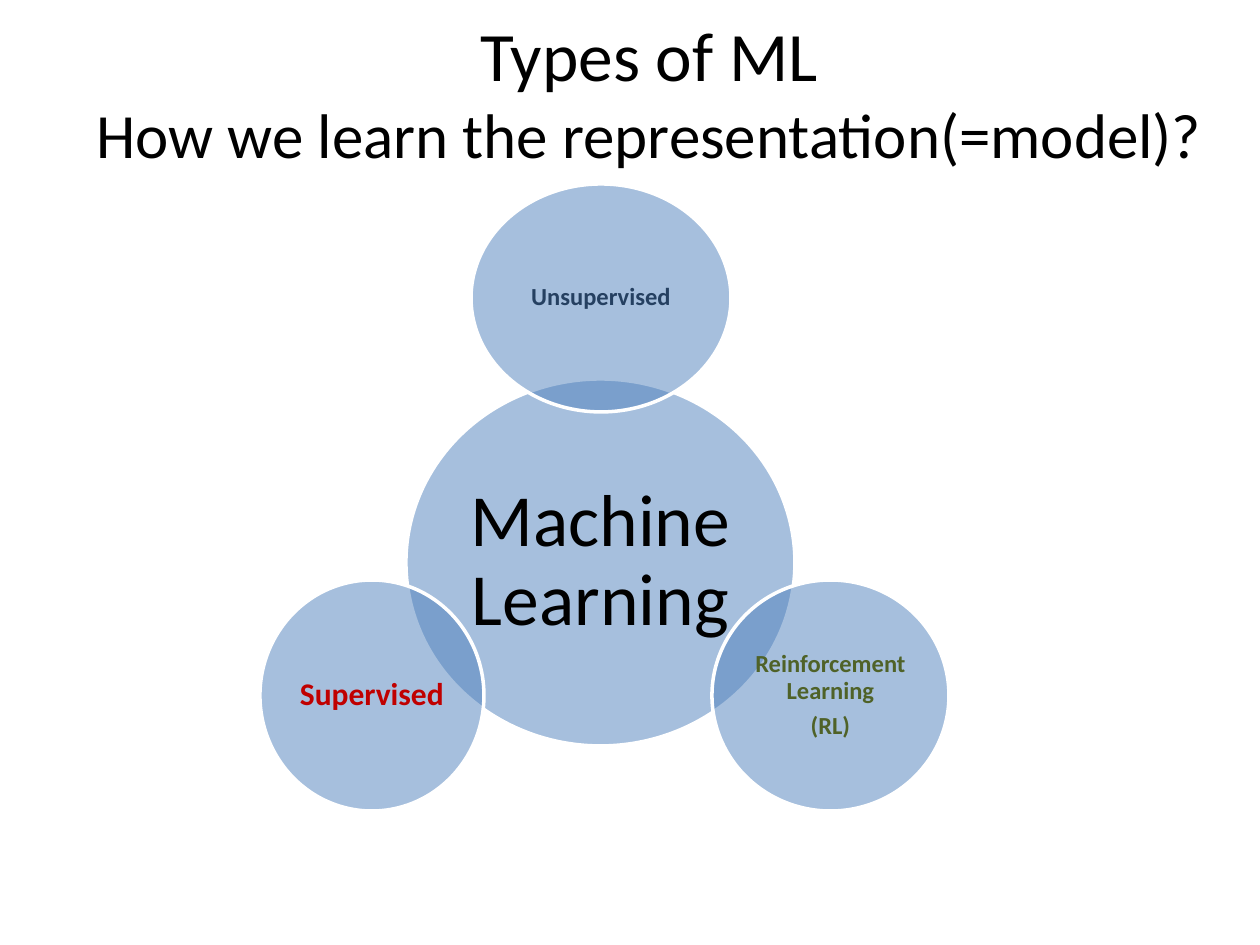
from lxml import etree
from pptx import Presentation
from pptx import util as u
from pptx.dml.color import RGBColor
from pptx.enum import shapes, text
from pptx.oxml.ns import qn

PX = 914400 / 126
FONT = "Calibri"
BLACK = RGBColor(0x00, 0x00, 0x00)
WHITE = RGBColor(0xFF, 0xFF, 0xFF)
BLUE = RGBColor(0x4F, 0x81, 0xBD)
NAVY = RGBColor(0x25, 0x40, 0x61)
GREEN = RGBColor(0x4F, 0x62, 0x28)
RED = RGBColor(0xC0, 0x00, 0x00)


def px(*lengths):
    return [u.Emu(round(length * PX)) for length in lengths]


def add_run(paragraph, words, size, color, bold=False):
    run = paragraph.add_run()
    run.text = words
    run.font.name = FONT
    run.font.size = u.Pt(size)
    run.font.bold = bold
    run.font.color.rgb = color


def set_half_transparent(shape):
    color = shape.fill._xPr.find(qn("a:solidFill"))[0]
    etree.SubElement(color, qn("a:alpha"), val="50000")


def add_title(slide, heading, question):
    frame = slide.shapes.add_textbox(*px(38, 63, 1222, 58)).text_frame
    frame.word_wrap = True
    frame.vertical_anchor = text.MSO_ANCHOR.MIDDLE
    title = frame.paragraphs[0]
    title.alignment = text.PP_ALIGN.CENTER
    add_run(title, heading, 39.6, BLACK)
    title.add_line_break()
    add_run(title, question, 36, BLACK)


def add_circle(slide, box, lines, size, color, bold=True):
    circle = slide.shapes.add_shape(shapes.MSO_SHAPE.OVAL, *px(*box))
    circle.shadow.inherit = False
    circle.fill.solid()
    circle.fill.fore_color.rgb = BLUE
    set_half_transparent(circle)
    circle.line.color.rgb = WHITE
    circle.line.width = u.Pt(2)

    frame = circle.text_frame
    frame.word_wrap = True
    frame.vertical_anchor = text.MSO_ANCHOR.MIDDLE
    frame.margin_left = frame.margin_right = 0
    frame.margin_top = frame.margin_bottom = 0
    for index, words in enumerate(lines):
        paragraph = frame.add_paragraph() if index else frame.paragraphs[0]
        paragraph.alignment = text.PP_ALIGN.CENTER
        paragraph.line_spacing = 0.9
        if index:
            paragraph.space_before = u.Pt(5)
        add_run(paragraph, words, size, color, bold)


def main():
    deck = Presentation()
    deck.slide_width, deck.slide_height = u.Inches(10), u.Inches(7.5)
    slide = deck.slides.add_slide(deck.slide_layouts[6])

    add_title(slide, "Types of ML", "How we learn the representation(=model)?")
    add_circle(slide, (406, 379, 389, 367), ["Machine Learning"], 42, BLACK, bold=False)
    add_circle(slide, (471, 184, 260, 228), ["Unsupervised"], 14, NAVY)
    add_circle(slide, (712, 580, 237, 231), ["Reinforcement Learning", "(RL)"], 14, GREEN)
    add_circle(slide, (260, 580, 224, 231), ["Supervised"], 18, RED)

    deck.save("out.pptx")


if __name__ == "__main__":
    main()
